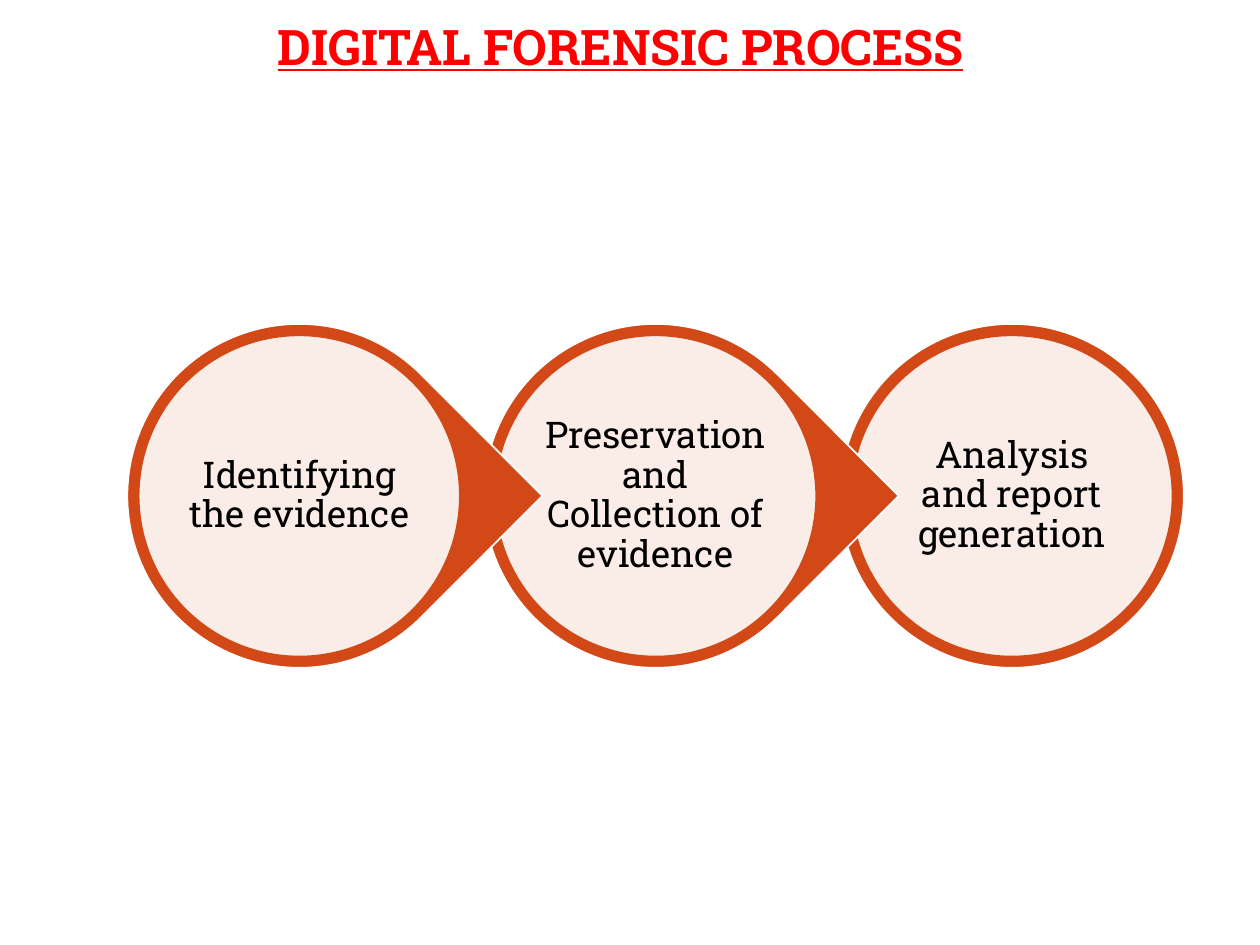
from lxml import etree
from pptx import Presentation, util as u
from pptx.dml.color import RGBColor
from pptx.enum import shapes, text
from pptx.oxml.ns import qn

RED = RGBColor(0xFF, 0x00, 0x00)
ORANGE = RGBColor(0xD3, 0x48, 0x17)
WHITE = RGBColor(0xFF, 0xFF, 0xFF)
BLACK = RGBColor(0x00, 0x00, 0x00)

STEPS = (
    "Identifying the evidence",
    "Preservation and Collection of evidence",
    "Analysis and report generation",
)
FIRST_CENTRE, PITCH, MIDDLE = 23.75, 28.28, 39.36
RING, DISC, LABEL = 27.3, 25.5, 18.2


class ProcessSlide:
    """Draws the process on a grid of 100 columns by 75 rows."""

    font_name = "Roboto Slab"
    columns, rows = 100, 75

    def __init__(self, presentation):
        self.cell_width = presentation.slide_width / self.columns
        self.cell_height = presentation.slide_height / self.rows
        self.slide = presentation.slides.add_slide(presentation.slide_layouts[6])

    def place(self, column, row, width, height):
        return (
            round(column * self.cell_width),
            round(row * self.cell_height),
            round(width * self.cell_width),
            round(height * self.cell_height),
        )

    def centred(self, centre, size):
        return self.place(centre - size / 2, MIDDLE - size / 2, size, size)

    def shape(self, kind, centre, size, fill, line, opacity=None, rotation=0):
        shape = self.slide.shapes.add_shape(kind, *self.centred(centre, size))
        shape.shadow.inherit = False
        shape.rotation = rotation
        shape.fill.solid()
        shape.fill.fore_color.rgb = fill
        shape.line.color.rgb = line
        shape.line.width = u.Pt(1)
        if opacity is not None:
            colour = shape.fill._xPr.find(qn("a:solidFill"))[0]
            etree.SubElement(colour, qn("a:alpha"), val=str(opacity * 1000))

    def text(self, box, words, colour, font, frame, paragraph_format):
        text_frame = self.slide.shapes.add_textbox(*box).text_frame
        paragraph = text_frame.paragraphs[0]
        paragraph.text = words
        paragraph.font.color.rgb = colour
        for target, values in (
            (text_frame, {"word_wrap": True, **frame}),
            (paragraph, {"alignment": text.PP_ALIGN.CENTER, **paragraph_format}),
            (paragraph.font, {"name": self.font_name, **font}),
        ):
            for name, value in values.items():
                setattr(target, name, value)

    def title(self, words):
        self.text(
            self.place(7.5, 0.8, 83.5, 5.7), words, RED,
            {"size": u.Pt(28), "bold": True, "underline": True},
            {"auto_size": text.MSO_AUTO_SIZE.SHAPE_TO_FIT_TEXT}, {},
        )

    def step(self, words, centre, is_last):
        kinds = shapes.MSO_SHAPE
        ring = kinds.OVAL if is_last else kinds.TEAR
        self.shape(ring, centre, RING, ORANGE, WHITE, rotation=0 if is_last else 45)
        self.shape(kinds.OVAL, centre, DISC, WHITE, ORANGE, opacity=90)
        sides = ("left", "top", "right", "bottom")
        frame = {f"margin_{side}": u.Inches(0.03) for side in sides}
        frame["vertical_anchor"] = text.MSO_ANCHOR.MIDDLE
        self.text(
            self.centred(centre, LABEL), words, BLACK,
            {"size": u.Pt(21)}, frame, {"line_spacing": 0.9},
        )


def main():
    presentation = Presentation()
    presentation.slide_width = u.Inches(10)
    presentation.slide_height = u.Inches(7.5)
    slide = ProcessSlide(presentation)
    last = len(STEPS) - 1
    for index, words in reversed(list(enumerate(STEPS))):
        slide.step(words, FIRST_CENTRE + index * PITCH, index == last)
    slide.title("DIGITAL FORENSIC PROCESS")
    presentation.save("out.pptx")


if __name__ == "__main__":
    main()
